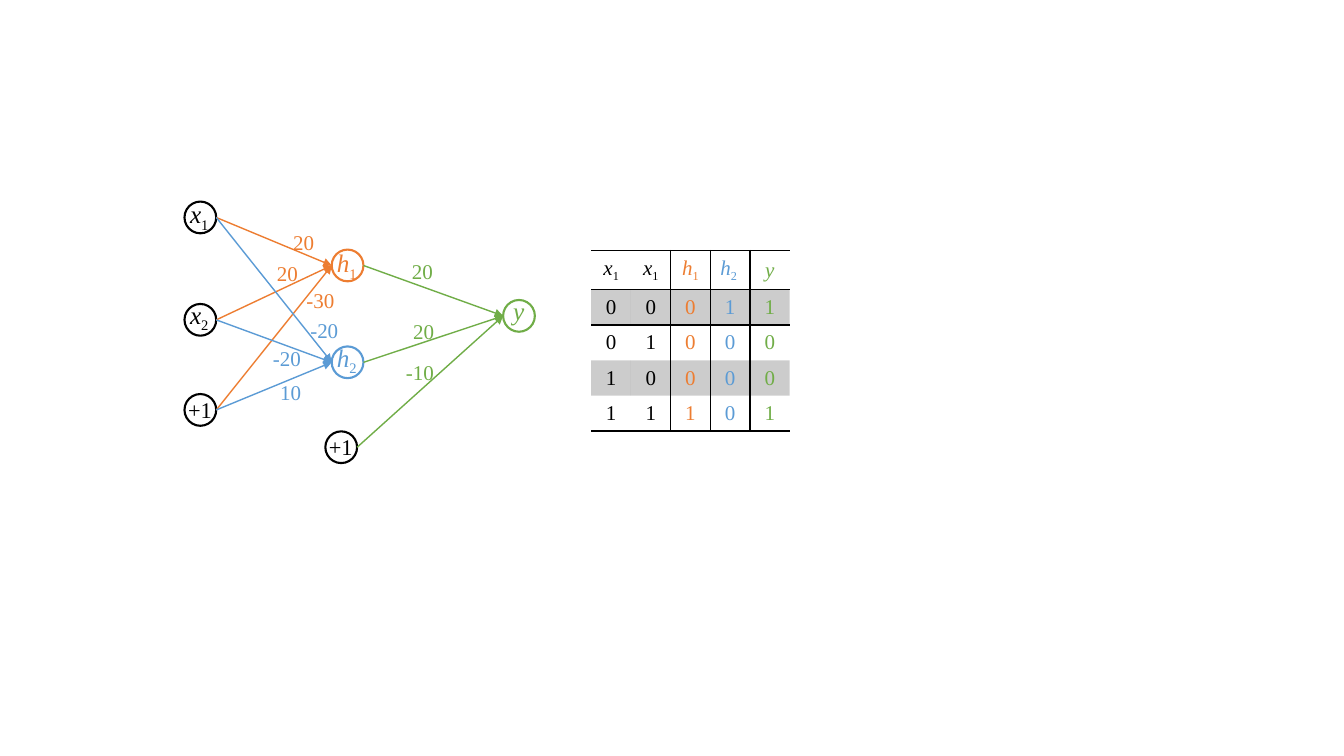
from collections import namedtuple
from dataclasses import dataclass

from lxml import etree
from pptx import Presentation
from pptx.dml.color import RGBColor
from pptx.enum.shapes import MSO_CONNECTOR, MSO_SHAPE
from pptx.enum.text import MSO_ANCHOR, MSO_AUTO_SIZE, PP_ALIGN
from pptx.oxml.ns import qn
from pptx.util import Cm, Pt

CIRCLE = MSO_SHAPE.FLOWCHART_CONNECTOR
STRAIGHT = MSO_CONNECTOR.STRAIGHT
GROW = MSO_AUTO_SIZE.SHAPE_TO_FIT_TEXT
MIDDLE = MSO_ANCHOR.MIDDLE
LEFT, CENTER = PP_ALIGN.LEFT, PP_ALIGN.CENTER
PLAIN_TABLE_STYLE = "{2D5ABB26-0587-4C30-8999-92F81FD0307C}"


@dataclass(frozen=True)
class Theme:
    """Colours, font and sizes (points) of the slide."""
    font: str = "Times New Roman"
    black: str = "000000"
    orange: str = "ED7D31"
    blue: str = "5B9BD5"
    green: str = "70AD47"
    symbol: int = 18
    bias: int = 16
    weight: int = 15
    outline: float = 1.5
    rule: float = 1
    band_opacity: int = 20


THEME = Theme()
DIAMETER = 0.8  # all lengths are in centimetres

# Centre, symbol, subscript, colour, symbol box width and upward shift
Node = namedtuple("Node", "x y symbol index color width lift")
NODES = {
    "x1": Node(5.05, 5.48, "x", "1", THEME.black, 1.02, 0.09),
    "x2": Node(5.05, 8.06, "x", "2", THEME.black, 1.02, 0.13),
    "input bias": Node(5.05, 10.33, "+1", "", THEME.black, 1.12, 0),
    "h1": Node(8.76, 6.69, "h", "1", THEME.orange, 1.04, 0.06),
    "h2": Node(8.76, 9.13, "h", "2", THEME.blue, 1.04, 0.12),
    "hidden bias": Node(8.6, 11.27, "+1", "", THEME.black, 1.12, 0),
    "y": Node(13.08, 7.96, "y", "", THEME.green, 0.79, 0.14),
}

# Source, target, weight, left and top of the weight label
EDGES = [
    ("x1", "h1", "20", 7.14, 5.66),
    ("x2", "h1", "20", 6.73, 6.45),
    ("input bias", "h1", "-30", 7.47, 7.11),
    ("x1", "h2", "-20", 7.57, 7.87),
    ("x2", "h2", "-20", 6.63, 8.59),
    ("input bias", "h2", "10", 6.81, 9.45),
    ("h1", "y", "20", 10.13, 6.4),
    ("h2", "y", "20", 10.16, 7.9),
    ("hidden bias", "y", "-10", 9.98, 8.94),
]

# Symbol, subscript, colour and header alignment of each column
COLUMNS = [
    ("x", "1", THEME.black, CENTER),
    ("x", "1", THEME.black, CENTER),
    ("h", "1", THEME.orange, CENTER),
    ("h", "2", THEME.blue, LEFT),
    ("y", "", THEME.green, CENTER),
]
TRUTH_ROWS = ["00011", "01000", "10000", "11101"]
FIRST_RULED_COLUMN = 2


def add_run(paragraph, text, size, color, italic=False, subscript=False):
    """Append one formatted run."""
    run = paragraph.add_run()
    run.text = text
    run.font.name = THEME.font
    run.font.size = Pt(size)
    run.font.italic = italic
    run.font.color.rgb = RGBColor.from_string(color)
    if subscript:
        run._r.get_or_add_rPr().set("baseline", "-25000")


def write_symbol(paragraph, symbol, index, size, color):
    """Write a symbol, italic if a letter, and its subscript."""
    add_run(paragraph, symbol, size, color, italic=symbol.isalpha())
    if index:
        add_run(paragraph, index, size, color, subscript=True)


def add_label(slide, left, top, width, height):
    """Add an unwrapped text box and return its paragraph."""
    frame = slide.shapes.add_textbox(
        Cm(left), Cm(top), Cm(width), Cm(height)).text_frame
    frame.word_wrap = False
    frame.auto_size = GROW
    return frame.paragraphs[0]


def add_node(slide, node):
    """Draw a neuron: an open circle with its symbol."""
    circle = slide.shapes.add_shape(
        CIRCLE, Cm(node.x - DIAMETER / 2), Cm(node.y - DIAMETER / 2),
        Cm(DIAMETER), Cm(DIAMETER))
    circle.shadow.inherit = False
    circle.fill.background()
    circle.line.color.rgb = RGBColor.from_string(node.color)
    circle.line.width = Pt(THEME.outline)
    size, height = (THEME.symbol, 1.02) if node.symbol.isalpha() else (THEME.bias, 0.94)
    paragraph = add_label(slide, node.x - node.width / 2,
                          node.y - height / 2 - node.lift, node.width, height)
    write_symbol(paragraph, node.symbol, node.index, size, node.color)


def add_edge(slide, source, target):
    """Draw an arrow between two neurons in the target's colour."""
    arrow = slide.shapes.add_connector(
        STRAIGHT, Cm(source.x + DIAMETER / 2), Cm(source.y),
        Cm(target.x - DIAMETER / 2), Cm(target.y))
    arrow.line.color.rgb = RGBColor.from_string(target.color)
    arrow.line.width = Pt(THEME.rule)
    etree.SubElement(arrow.line._get_or_add_ln(), qn("a:tailEnd"), type="triangle")
    etree.SubElement(arrow._element.spPr, qn("a:effectLst"))


def add_weight(slide, weight, left, top, color):
    """Write the weight of an edge."""
    width = 1.22 if weight.startswith("-") else 1.04
    add_run(add_label(slide, left, top, width, 0.89), weight, THEME.weight, color)


def add_borders(cell, sides):
    """Rule the given sides (L, R, T, B, in that order) of an unfilled cell."""
    properties = cell._tc.get_or_add_tcPr()
    for side in sides:
        line = etree.SubElement(properties, qn(f"a:ln{side}"), w=str(Pt(THEME.rule)))
        fill = etree.SubElement(line, qn("a:solidFill"))
        etree.SubElement(fill, qn("a:srgbClr"), val=THEME.black)


def fill_cell(cell, banded):
    """Give a cell the translucent band or no fill."""
    if not banded:
        cell.fill.background()
        return
    cell.fill.solid()
    cell.fill.fore_color.rgb = RGBColor.from_string(THEME.black)
    color = cell._tc.tcPr.find(qn("a:solidFill")).find(qn("a:srgbClr"))
    etree.SubElement(color, qn("a:alpha"), val=str(THEME.band_opacity * 1000))


def border_sides(row, column):
    """Return the ruled sides of a cell of the truth table."""
    last_column = len(COLUMNS) - 1
    sides = "L" if column >= FIRST_RULED_COLUMN else ""
    sides += "R" if FIRST_RULED_COLUMN - 1 <= column < last_column else ""
    sides += "T" if row <= 1 else ""
    return sides + ("B" if row in (0, len(TRUTH_ROWS)) else "")


def add_truth_table(slide, left, top, column_width, header_height, row_height):
    """Build the truth table of the network."""
    count = len(TRUTH_ROWS)
    table = slide.shapes.add_table(
        count + 1, len(COLUMNS), Cm(left), Cm(top), Cm(column_width * len(COLUMNS)),
        Cm(header_height + row_height * count)).table
    table.first_row = table.horz_banding = False
    table._tbl.tblPr.find(qn("a:tableStyleId")).text = PLAIN_TABLE_STYLE
    for column in table.columns:
        column.width = Cm(column_width)
    for r, row in enumerate(table.rows):
        row.height = Cm(row_height if r else header_height)
        for c, (symbol, index, color, header_align) in enumerate(COLUMNS):
            cell = table.cell(r, c)
            add_borders(cell, border_sides(r, c))
            fill_cell(cell, banded=r % 2 == 1)
            cell.vertical_anchor = MIDDLE
            paragraph = cell.text_frame.paragraphs[0]
            paragraph.alignment = CENTER if r else header_align
            if r:
                add_run(paragraph, TRUTH_ROWS[r - 1][c], THEME.weight, color)
            else:
                write_symbol(paragraph, symbol, index, THEME.weight, color)


def main():
    """Build the slide and save it."""
    deck = Presentation()
    deck.slide_width, deck.slide_height = Cm(33.87), Cm(19.05)
    slide = deck.slides.add_slide(deck.slide_layouts[6])
    for node in NODES.values():
        add_node(slide, node)
    for source, target, weight, left, top in EDGES:
        add_edge(slide, NODES[source], NODES[target])
        add_weight(slide, weight, left, top, NODES[target].color)
    add_truth_table(slide, left=14.9, top=6.31, column_width=1,
                    header_height=0.99, row_height=0.89)
    deck.save("out.pptx")


main()
